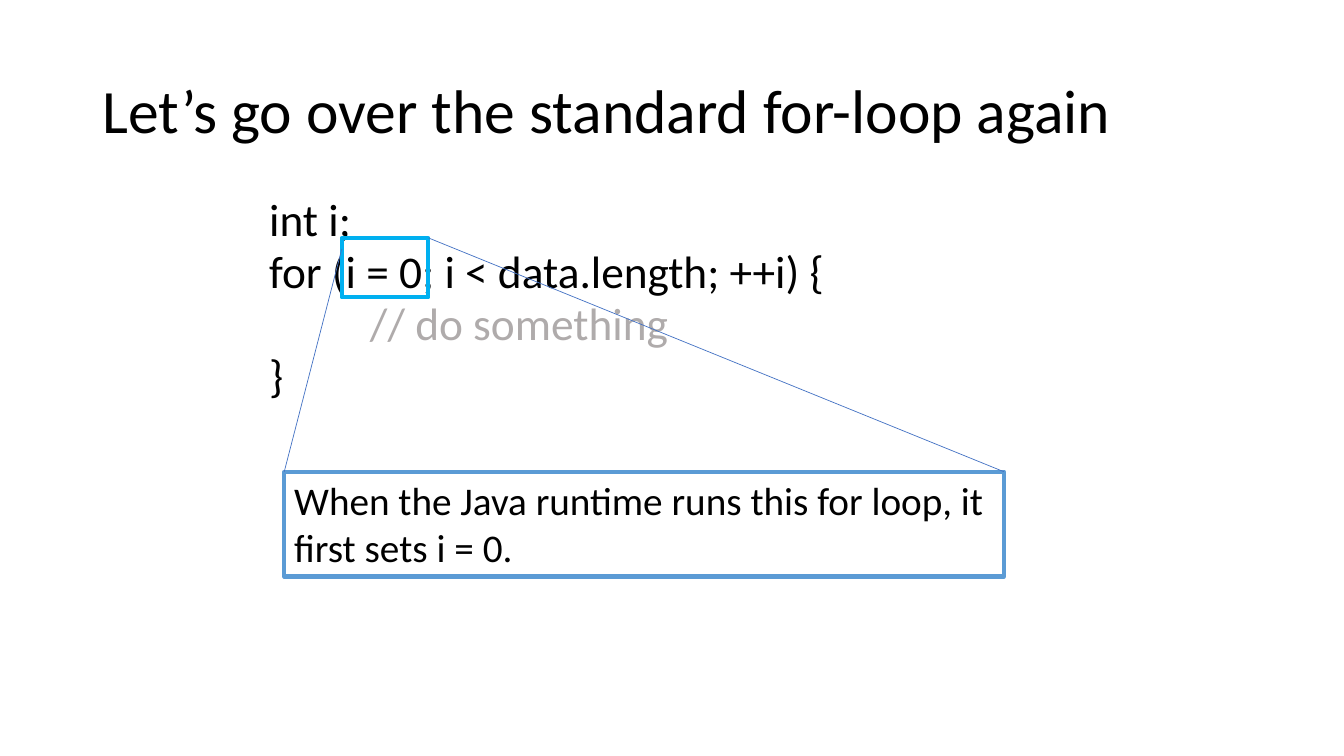
from lxml.etree import SubElement
from pptx import Presentation
from pptx.dml.color import RGBColor
from pptx.enum.shapes import MSO_CONNECTOR, MSO_SHAPE
from pptx.enum.text import MSO_ANCHOR, MSO_AUTO_SIZE, PP_ALIGN
from pptx.oxml.ns import qn
from pptx.util import Inches, Pt

COLOURS = {
    "text": "000000",
    "comment": "AFABAB",
    "highlight": "00B0F0",
    "callout": "5B9BD5",
    "guide": "4472C4",
}

deck = Presentation()
deck.slide_width, deck.slide_height = Inches(13.333), Inches(7.5)
page = deck.slides.add_slide(deck.slide_layouts[1])


def place(left, top, width, height):
    """Turn percentages of the slide's width and height into lengths."""
    across, down = deck.slide_width / 100, deck.slide_height / 100
    return round(left * across), round(top * down), round(width * across), round(height * down)


def add_text(para, text, size, colour):
    para.alignment = PP_ALIGN.LEFT
    span = para.add_run()
    span.text = text
    span.font.name = "Calibri"
    span.font.size = Pt(size)
    span.font.color.rgb = RGBColor.from_string(COLOURS[colour])


# Title and code
title, code = page.shapes.title, page.placeholders[1]
title.left, title.top, title.width, title.height = place(6.9, 5.33, 86.25, 19.33)
code.left, code.top, code.width, code.height = place(11.78, 26.53, 86.25, 27.6)
for box, anchor in ((title, MSO_ANCHOR.MIDDLE), (code, MSO_ANCHOR.TOP)):
    box.text_frame.word_wrap = True
    box.text_frame.auto_size = MSO_AUTO_SIZE.NONE
    box.text_frame.vertical_anchor = anchor

heading = title.text_frame.paragraphs[0]
heading.line_spacing = 0.9
add_text(heading, "Let’s go over the standard for-loop again", 44, "text")

code_lines = [
    (1, "int i;", "text"),
    (1, "for (i = 0; i < data.length; ++i) {", "text"),
    (2, "// do something", "comment"),
    (1, "}", "text"),
]
for number, (indent, text, colour) in enumerate(code_lines):
    frame = code.text_frame
    para = frame.add_paragraph() if number else frame.paragraphs[0]
    para.line_spacing = 0.7
    para.space_before = Pt(10)
    add_text(para, text, 32.4, colour)
    properties = para._p.get_or_add_pPr()
    properties.set("marL", str(Inches(indent)))
    properties.set("indent", "0")
    SubElement(properties, qn("a:buNone"))

# Highlighted initializer and its explanation
highlight = page.shapes.add_shape(MSO_SHAPE.RECTANGLE, *place(25.43, 31.47, 6.45, 7.87))
callout = page.shapes.add_shape(MSO_SHAPE.RECTANGLE, *place(21.15, 62.4, 53.55, 13.87))
for box, colour in ((highlight, "highlight"), (callout, "callout")):
    box.shadow.inherit = False
    box.fill.background()
    box.line.color.rgb = RGBColor.from_string(COLOURS[colour])
    box.line.width = Pt(3)

callout.text_frame.word_wrap = True
callout.text_frame.auto_size = MSO_AUTO_SIZE.SHAPE_TO_FIT_TEXT
callout.text_frame.vertical_anchor = MSO_ANCHOR.TOP
add_text(callout.text_frame.paragraphs[0],
         "When the Java runtime runs this for loop, it first sets i = 0.", 28, "text")

# Guides from the highlight to the callout's upper corners
guides = [
    (highlight.left, highlight.top + Inches(0.11), callout.left),
    (highlight.left + highlight.width, highlight.top, callout.left + callout.width),
]
for start_x, start_y, end_x in guides:
    guide = page.shapes.add_connector(MSO_CONNECTOR.STRAIGHT, start_x, start_y, end_x, callout.top)
    guide.line.color.rgb = RGBColor.from_string(COLOURS["guide"])
    guide.line.width = Pt(0.5)
    SubElement(guide._element.spPr, qn("a:effectLst"))

deck.save("out.pptx")
